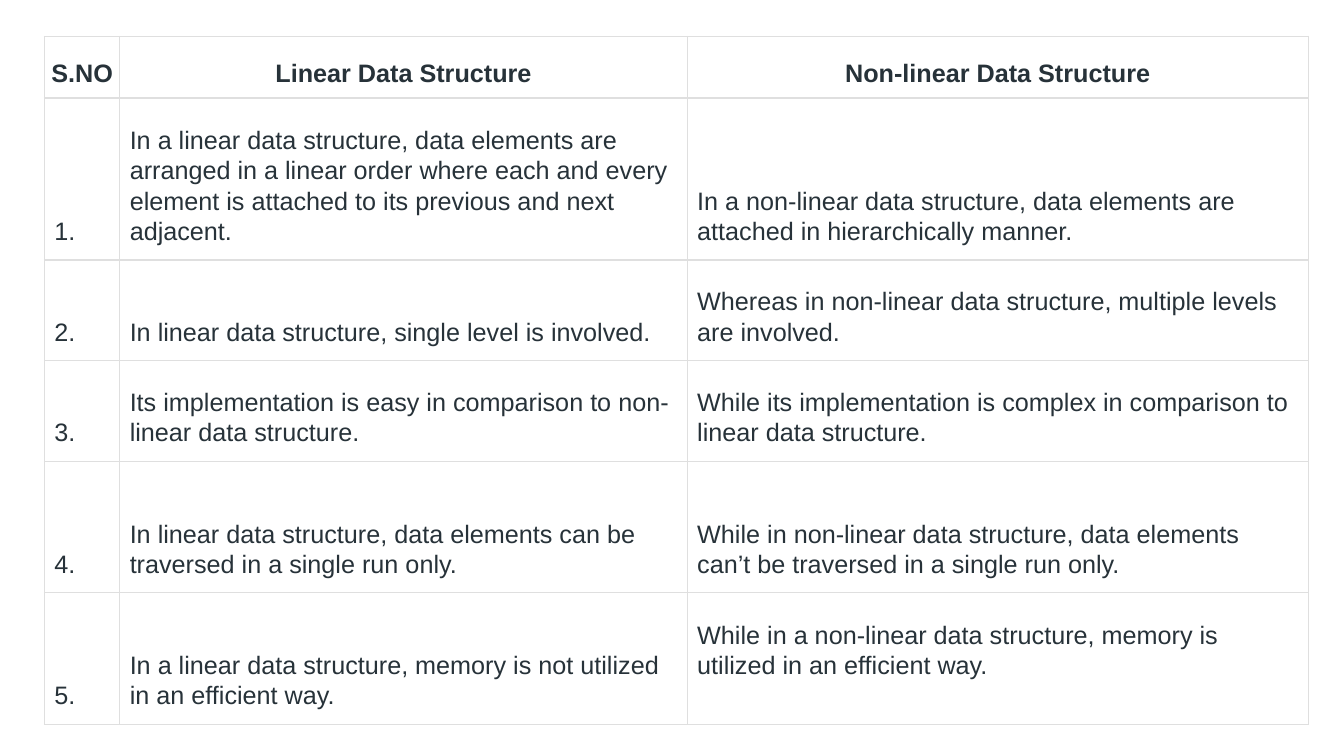
"""Build a slide with a table comparing linear and non-linear data structures."""
from lxml import etree
from pptx import Presentation, util as u
from pptx.dml.color import RGBColor
from pptx.enum import text
from pptx.oxml import ns

INK = RGBColor(0x27, 0x32, 0x39)
RULE = RGBColor(0xDF, 0xDF, 0xDF)
WHITE = RGBColor(0xFF, 0xFF, 0xFF)

WIDTHS = [1.9, 14.3, 15.65]
HEIGHTS = [1.55, 4.08, 2.54, 2.54, 3.31, 3.31]
ROWS = [
    ("S.NO", "Linear Data Structure", "Non-linear Data Structure"),
    ("1.",
     "In a linear data structure, data elements are arranged in a linear order "
     "where each and every element is attached to its previous and next adjacent.",
     "In a non-linear data structure, data elements are attached in "
     "hierarchically manner."),
    ("2.",
     "In linear data structure, single level is involved.",
     "Whereas in non-linear data structure, multiple levels are involved."),
    ("3.",
     "Its implementation is easy in comparison to non-linear data structure.",
     "While its implementation is complex in comparison to linear data structure."),
    ("4.",
     "In linear data structure, data elements can be traversed in a single run only.",
     "While in non-linear data structure, data elements can’t be traversed in a "
     "single run only."),
    ("5.",
     "In a linear data structure, memory is not utilized in an efficient way.",
     "While in a non-linear data structure, memory is utilized in an efficient way."),
]


def border(cell):
    """Draw a thin line on all four sides of a cell."""
    props = cell._tc.get_or_add_tcPr()
    for side in ("lnL", "lnR", "lnT", "lnB"):
        line = etree.SubElement(props, ns.qn(f"a:{side}"), w=str(u.Pt(1)))
        fill = etree.SubElement(line, ns.qn("a:solidFill"))
        etree.SubElement(fill, ns.qn("a:srgbClr"), val=str(RULE))


deck = Presentation()
deck.slide_width, deck.slide_height = u.Cm(33.87), u.Cm(19.05)
slide = deck.slides.add_slide(deck.slide_layouts[6])

frame = slide.shapes.add_table(
    len(ROWS), len(WIDTHS), u.Cm(1.12), u.Cm(0.92),
    u.Cm(sum(WIDTHS)), u.Cm(sum(HEIGHTS)))
table = frame.table
table.horz_banding = False
for col, width in zip(table.columns, WIDTHS):
    col.width = u.Cm(width)
for row, height in zip(table.rows, HEIGHTS):
    row.height = u.Cm(height)

for i, words in enumerate(ROWS):
    for j, word in enumerate(words):
        head = i == 0
        cell = table.cell(i, j)
        border(cell)
        cell.fill.solid()
        cell.fill.fore_color.rgb = WHITE
        cell.vertical_anchor = text.MSO_ANCHOR.BOTTOM
        cell.margin_left = cell.margin_right = u.Cm(0.1 if head and j == 0 else 0.25)
        cell.margin_top = cell.margin_bottom = u.Cm(0.25 if head else 0.36)
        cell.text = word
        para = cell.text_frame.paragraphs[0]
        para.alignment = text.PP_ALIGN.CENTER if head else text.PP_ALIGN.LEFT
        para.line_spacing = 1.07
        para.font.name = "Arial"
        para.font.size = u.Pt(18)
        para.font.bold = head
        para.font.color.rgb = INK

table.cell(5, 2).margin_bottom = u.Cm(1.12)

deck.save("out.pptx")
